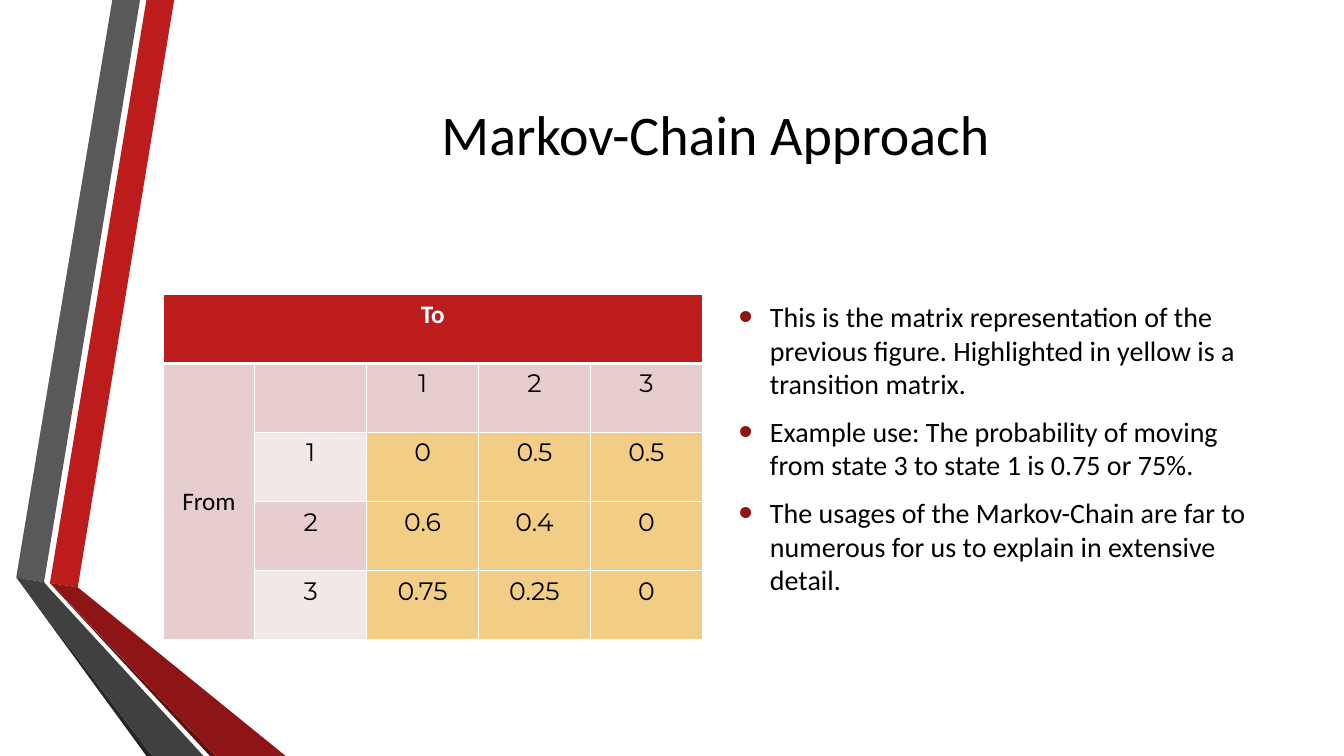
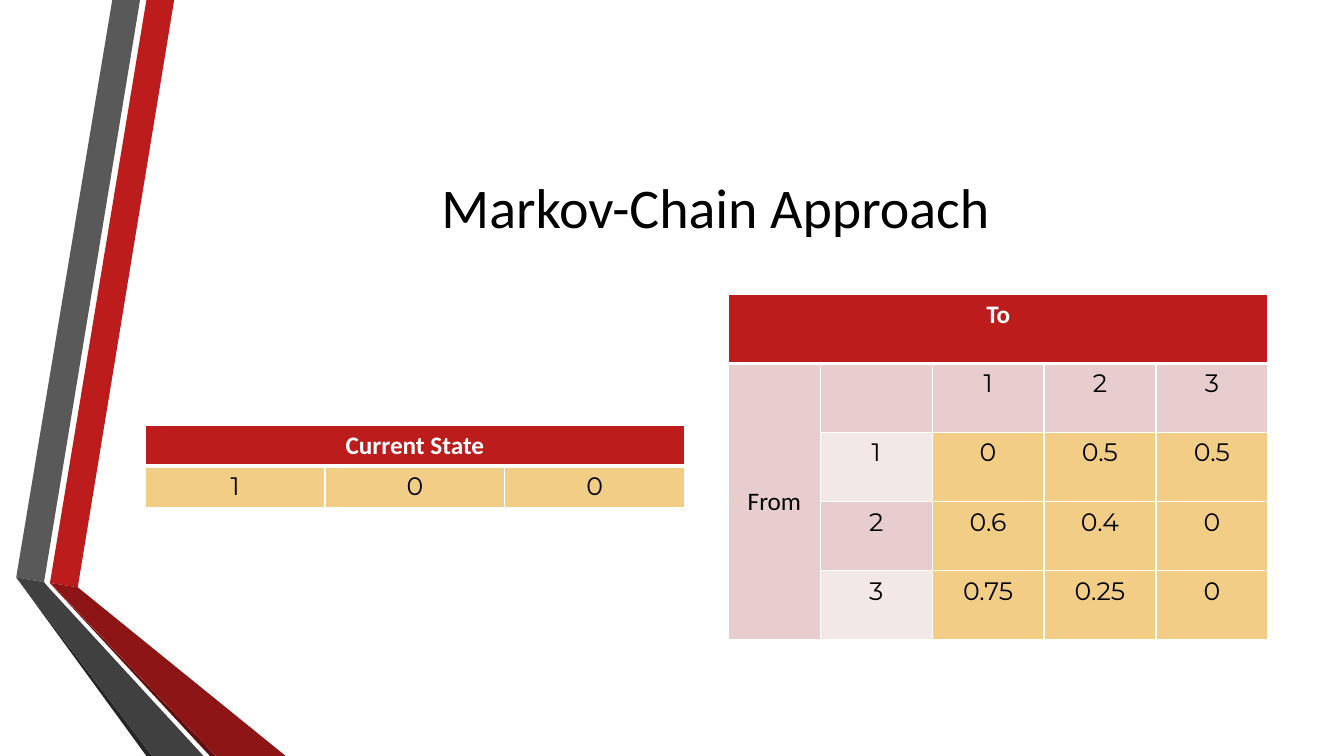
import dataclasses

import lxml.etree
import pptx
import pptx.dml.color
import pptx.enum.text
import pptx.oxml.ns
import pptx.util

Cm, Pt = pptx.util.Cm, pptx.util.Pt
qn = pptx.oxml.ns.qn
ALIGN = pptx.enum.text.PP_ALIGN
ANCHOR = pptx.enum.text.MSO_ANCHOR


@dataclasses.dataclass(frozen=True)
class Theme:
    red: str = "BC1C1C"
    dark_red: str = "8D1515"
    deep_red: str = "5E0E0E"
    grey: str = "595959"
    dark_grey: str = "404040"
    deep_grey: str = "262626"
    rose: str = "E7CDCD"
    pale_rose: str = "F3E8E8"
    yellow: str = "F2CD86"
    black: str = "000000"
    white: str = "FFFFFF"
    text_font: str = "Calibri"
    number_font: str = "Montserrat"
    title_size: int = 40
    body_size: int = 20
    table_size: int = 18
    border: float = 1
    header_border: float = 3
    bullet_percent: int = 145


THEME = Theme()

TITLE = "Markov-Chain Approach"
BULLETS = [
    "This is the matrix representation of the previous figure. "
    "Highlighted in yellow is a transition matrix.",
    "Example use: The probability of moving from state 3 to state 1 is 0.75 or 75%.",
    "The usages of the Markov-Chain are far to numerous for us to explain in extensive detail.",
]
# Tables: "highlight" is the first yellow cell (row, column)
TRANSITIONS = {
    "rows": [
        ["To", "", "", "", ""],
        ["From", "", "1", "2", "3"],
        ["", "1", "0", "0.5", "0.5"],
        ["", "2", "0.6", "0.4", "0"],
        ["", "3", "0.75", "0.25", "0"],
    ],
    "widths": [2.31] + [2.82] * 4,
    "row_height": 1.74,
    "highlight": (2, 2),
    "side_label": True,
}
CURRENT_STATE = {
    "rows": [["Current State", "", ""], ["1", "0", "0"]],
    "widths": [4.53] * 3,
    "row_height": 1.03,
    "highlight": (1, 0),
    "side_label": False,
}

# Positions in centimetres
SLIDE_WIDTH, SLIDE_HEIGHT = 33.87, 19.05
LEFT, RIGHT, CONTENT_TOP = 4.11, 18.36, 7.42
COLUMN_WIDTH, COLUMN_HEIGHT = 13.59, 8.69
TITLE_WIDTH, TITLE_HEIGHT = 27.84, 4.88

BANDS = [
    (THEME.red, [(1.26, 14.69), (1.96, 14.8), (4.39, 0), (3.69, 0)]),
    (THEME.grey, [(3.53, 0), (2.83, 0), (0.41, 14.55), (1.11, 14.67)]),
    (THEME.deep_grey, [(0.41, 14.55), (3.69, SLIDE_HEIGHT), (3.84, SLIDE_HEIGHT)]),
    (THEME.deep_red, [(1.26, 14.7), (5.29, SLIDE_HEIGHT), (5.44, SLIDE_HEIGHT)]),
    (THEME.dark_red, [(1.26, 14.69), (5.44, SLIDE_HEIGHT), (7.2, SLIDE_HEIGHT), (1.96, 14.8)]),
    (THEME.dark_grey, [(5.13, SLIDE_HEIGHT), (1.22, 14.8), (1.11, 14.67),
                       (0.41, 14.55), (3.84, SLIDE_HEIGHT)]),
]


def rgb(color):
    return pptx.dml.color.RGBColor.from_string(color)


def place(box, left, top, width, height):
    box.left, box.top, box.width, box.height = Cm(left), Cm(top), Cm(width), Cm(height)


def format_runs(paragraph, size, color=THEME.black, font=THEME.text_font, bold=False):
    for span in paragraph.runs:
        span.font.size = Pt(size)
        span.font.name = font
        span.font.bold = bold
        span.font.color.rgb = rgb(color)


def add_bands_to_master(deck, page):
    """Draw the ribbon on a page, then move it to the master behind every slide."""
    group = page.shapes.add_group_shape()
    for color, points in BANDS:
        corners = [(Cm(x), Cm(y)) for x, y in points]
        builder = group.shapes.build_freeform(*corners[0], scale=1.0)
        builder.add_line_segments(corners[1:], close=True)
        band = builder.convert_to_shape()
        band.fill.solid()
        band.fill.fore_color.rgb = rgb(color)
        band.line.fill.background()
        band.shadow.inherit = False
    for number, properties in enumerate(group.element.iter(qn("p:cNvPr")), 20):
        properties.set("id", str(number))
    deck.slide_master.shapes.element.insert(2, group.element)


def set_title(page, top, extra_inset=0):
    box = page.shapes.title
    place(box, LEFT, top, TITLE_WIDTH, TITLE_HEIGHT)
    frame = box.text_frame
    frame.text = TITLE
    frame.auto_size = pptx.enum.text.MSO_AUTO_SIZE.NONE
    frame.vertical_anchor = ANCHOR.MIDDLE
    frame.margin_top = Cm(0.13 + extra_inset)
    frame.paragraphs[0].alignment = ALIGN.CENTER
    format_runs(frame.paragraphs[0], THEME.title_size)


def style_bullet(paragraph):
    properties = paragraph._p.get_or_add_pPr()
    properties.set("marL", str(Cm(0.79)))
    properties.set("indent", str(-Cm(0.79)))
    color = lxml.etree.SubElement(properties, qn("a:buClr"))
    lxml.etree.SubElement(color, qn("a:srgbClr"), val=THEME.dark_red)
    lxml.etree.SubElement(properties, qn("a:buSzPct"), val=str(THEME.bullet_percent * 1000))
    lxml.etree.SubElement(properties, qn("a:buFont"), typeface="Arial")
    lxml.etree.SubElement(properties, qn("a:buChar"), char="•")


def set_bullets(box):
    place(box, RIGHT, CONTENT_TOP, COLUMN_WIDTH, COLUMN_HEIGHT)
    frame = box.text_frame
    frame.text = "\n".join(BULLETS)
    frame.auto_size = pptx.enum.text.MSO_AUTO_SIZE.NONE
    for paragraph in frame.paragraphs:
        paragraph.space_after = Pt(6)
        style_bullet(paragraph)
        format_runs(paragraph, THEME.body_size)


def set_borders(cell, top, bottom):
    properties = cell._tc.get_or_add_tcPr()
    widths = {"lnL": THEME.border, "lnR": THEME.border, "lnT": top, "lnB": bottom}
    for position, (side, width) in enumerate(widths.items()):
        line = lxml.etree.Element(qn("a:" + side), w=str(Pt(width)))
        fill = lxml.etree.SubElement(line, qn("a:solidFill"))
        lxml.etree.SubElement(fill, qn("a:srgbClr"), val=THEME.white)
        properties.insert(position, line)


def cell_fill(row, column, highlight):
    if row == 0:
        return THEME.red
    if row >= highlight[0] and column >= highlight[1]:
        return THEME.yellow
    return THEME.rose if column == 0 or row % 2 else THEME.pale_rose


def add_matrix(page, content, left, top):
    rows, widths = content["rows"], content["widths"]
    row_height = Cm(content["row_height"])
    table = page.shapes.add_table(len(rows), len(widths), Cm(left), Cm(top),
                                  Cm(sum(widths)), row_height * len(rows)).table
    table.first_row = table.horz_banding = False
    for column, width in zip(table.columns, widths):
        column.width = Cm(width)
    for r, values in enumerate(rows):
        table.rows[r].height = row_height
        for c, value in enumerate(values):
            cell = table.cell(r, c)
            cell.text = value
            cell.fill.solid()
            cell.fill.fore_color.rgb = rgb(cell_fill(r, c, content["highlight"]))
            set_borders(cell,
                        THEME.header_border if r == 1 else THEME.border,
                        THEME.header_border if r == 0 else THEME.border)
            paragraph = cell.text_frame.paragraphs[0]
            paragraph.alignment = ALIGN.CENTER
            is_number = value[:1].isdigit()
            format_runs(paragraph, THEME.table_size,
                        color=THEME.white if r == 0 else THEME.black,
                        font=THEME.number_font if is_number else THEME.text_font,
                        bold=r == 0)
    table.cell(0, 0).merge(table.cell(0, len(widths) - 1))
    if content["side_label"]:
        label = table.cell(1, 0)
        label.merge(table.cell(len(rows) - 1, 0))
        label.vertical_anchor = ANCHOR.MIDDLE


def main():
    deck = pptx.Presentation()
    deck.slide_width, deck.slide_height = Cm(SLIDE_WIDTH), Cm(SLIDE_HEIGHT)

    matrix_page = deck.slides.add_slide(deck.slide_layouts.get_by_name("Title and Content"))
    add_bands_to_master(deck, matrix_page)
    set_title(matrix_page, 0.91)
    set_bullets(matrix_page.placeholders[1])
    add_matrix(matrix_page, TRANSITIONS, LEFT, CONTENT_TOP)

    state_page = deck.slides.add_slide(deck.slide_layouts.get_by_name("Title Only"))
    set_title(state_page, 1.9, extra_inset=1.72)
    add_matrix(state_page, CURRENT_STATE, 3.66, 10.72)
    add_matrix(state_page, TRANSITIONS, RIGHT, CONTENT_TOP)

    deck.save("out.pptx")


if __name__ == "__main__":
    main()
